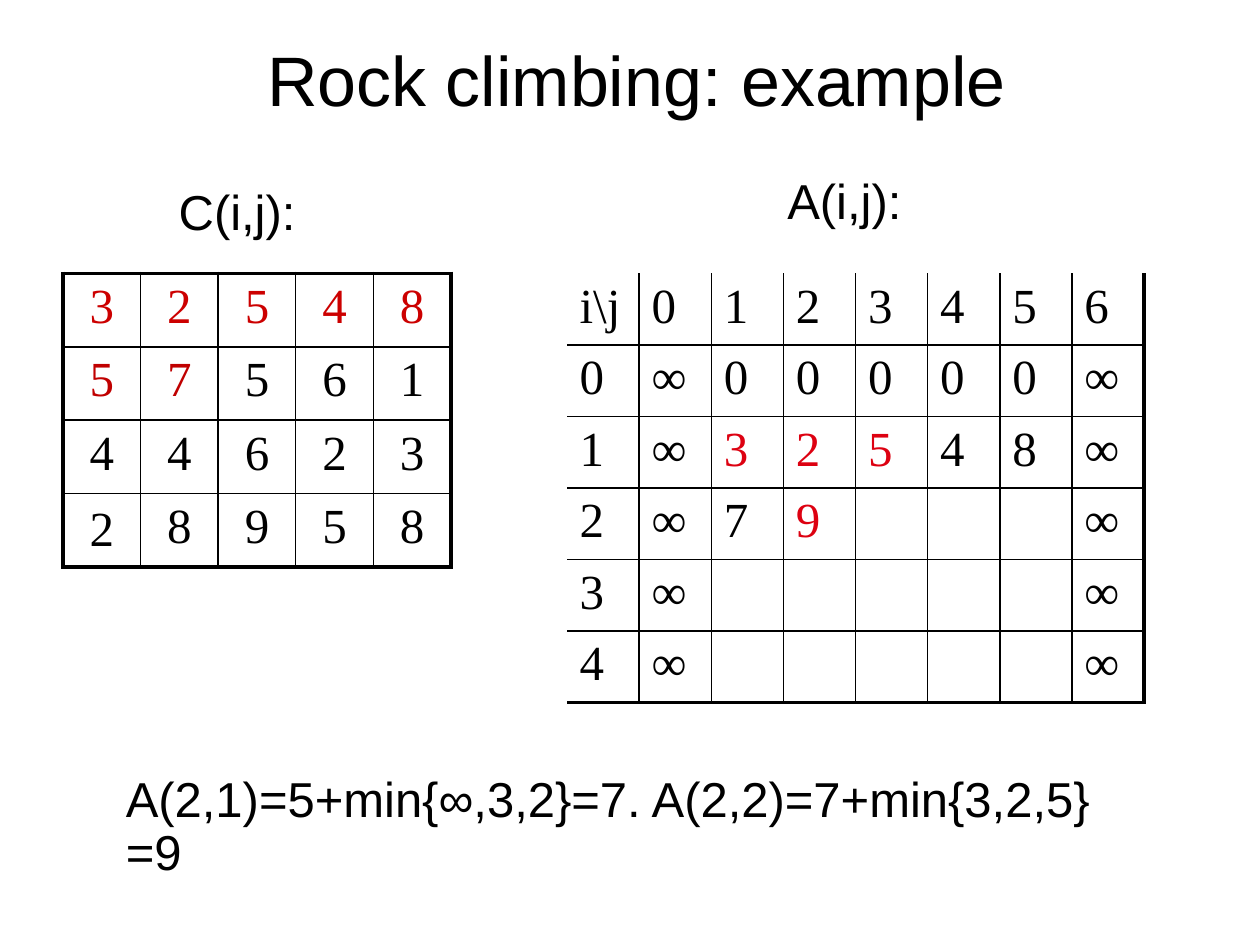
from lxml import etree
from pptx import Presentation
from pptx import util as u
from pptx.dml.color import RGBColor
from pptx.enum import text
from pptx.oxml import ns

BLACK = RGBColor(0, 0, 0)
CRIMSON = RGBColor(0xCC, 0, 0)
DARK_RED = RGBColor(0xC0, 0, 0)
RED = RGBColor(0xDD, 0x01, 0x11)
THIN, THICK = 1, 2.25
CENTER, LEFT = text.PP_ALIGN.CENTER, text.PP_ALIGN.LEFT
TOP, MIDDLE = text.MSO_ANCHOR.TOP, text.MSO_ANCHOR.MIDDLE


def assign(target, values):
    for name, value in values.items():
        setattr(target, name, value)


class Board:
    """Style and current slide; lengths are units of a 100 by 75 grid."""

    unit = u.Inches(0.1)
    heading = {"name": "Arial", "size": u.Pt(40)}
    body = {"name": "Arial", "size": u.Pt(28)}
    number = {"name": "Times New Roman", "size": u.Pt(28)}

    def __init__(self, deck):
        deck.slide_width, deck.slide_height = self.grid(100, 75)
        self.page = deck.slides.add_slide(deck.slide_layouts[6])

    def grid(self, *lengths):
        return [round(length * self.unit) for length in lengths]

    def add_words(self, para, words, font, color=BLACK, align=LEFT):
        para.alignment = align
        span = para.add_run()
        span.text = words
        assign(span.font, font)
        span.font.color.rgb = color

    def label(self, words, place, font=body, align=LEFT, anchor=TOP,
              spacing=0.9, wrap=False):
        box = self.page.shapes.add_textbox(*self.grid(*place))
        assign(box.text_frame, {"word_wrap": wrap, "vertical_anchor": anchor})
        para = box.text_frame.paragraphs[0]
        para.line_spacing = spacing
        self.add_words(para, words, font, align=align)

    def border(self, cell, widths):
        props = cell._tc.get_or_add_tcPr()
        for side, width in widths.items():
            line = etree.SubElement(props, ns.qn(f"a:ln{side}"))
            if not width:
                etree.SubElement(line, ns.qn("a:noFill"))
                continue
            line.set("w", str(u.Pt(width)))
            fill = etree.SubElement(line, ns.qn("a:solidFill"))
            etree.SubElement(fill, ns.qn("a:srgbClr"), val=str(BLACK))

    def matrix(self, rows, place, colors, outer, align=LEFT, centred=()):
        """Draw rows of numbers; outer holds the widths of the outside edges."""
        last_row, last_col = len(rows) - 1, len(rows[0]) - 1
        table = self.page.shapes.add_table(
            last_row + 1, last_col + 1, *self.grid(*place)).table
        assign(table, {"first_row": False, "horz_banding": False})
        for r, row in enumerate(rows):
            for c, words in enumerate(row):
                cell = table.cell(r, c)
                at_edge = {"L": c == 0, "R": c == last_col,
                           "T": r == 0, "B": r == last_row}
                self.border(cell, {side: outer[side] if edge else THIN
                                   for side, edge in at_edge.items()})
                cell.fill.background()
                cell.vertical_anchor = MIDDLE if (r, c) in centred else TOP
                para = cell.text_frame.paragraphs[0]
                if words:
                    self.add_words(para, words, self.number,
                                   colors.get((r, c), BLACK), align)


def main():
    deck = Presentation()
    board = Board(deck)

    # Title
    board.label("Rock climbing: example", (8, 0, 85, 12.5), Board.heading,
                CENTER, MIDDLE, spacing=1, wrap=True)

    # Cost matrix
    costs = ["32548", "57561", "44623", "28958"]
    cost_colors = {(0, c): CRIMSON for c in range(5)}
    cost_colors.update({(1, c): DARK_RED for c in range(2)})
    board.matrix(costs, (5, 21.7, 30.8, 23.3), cost_colors,
                 dict.fromkeys("LRTB", THICK), CENTER, centred=[(3, 0)])
    board.label("C(i,j):", (13.2, 14.4, 11.4, 5.2))

    # Accumulated matrix, walled by infinite columns
    inner = ["00000", "32548", "79", "", ""]
    sums = [["i\\j", *"0123456"]]
    sums += [[str(i), "∞", *values.ljust(5), "∞"]
             for i, values in enumerate(inner)]
    sums = [[words.strip() for words in row] for row in sums]
    sum_colors = dict.fromkeys([(2, 2), (2, 3), (2, 4), (3, 3)], RED)
    board.label("A(i,j):", (61.5, 13.6, 11.6, 5.2))
    board.matrix(sums, (45, 21.7, 45.8, 34), sum_colors,
                 {"L": 0, "R": THICK, "T": 0, "B": THICK})

    # Worked steps
    board.label("A(2,1)=5+min{∞,3,2}=7. A(2,2)=7+min{3,2,5}=9",
                (9, 61, 82.4, 5.2), wrap=True)

    deck.save("out.pptx")


if __name__ == "__main__":
    main()
